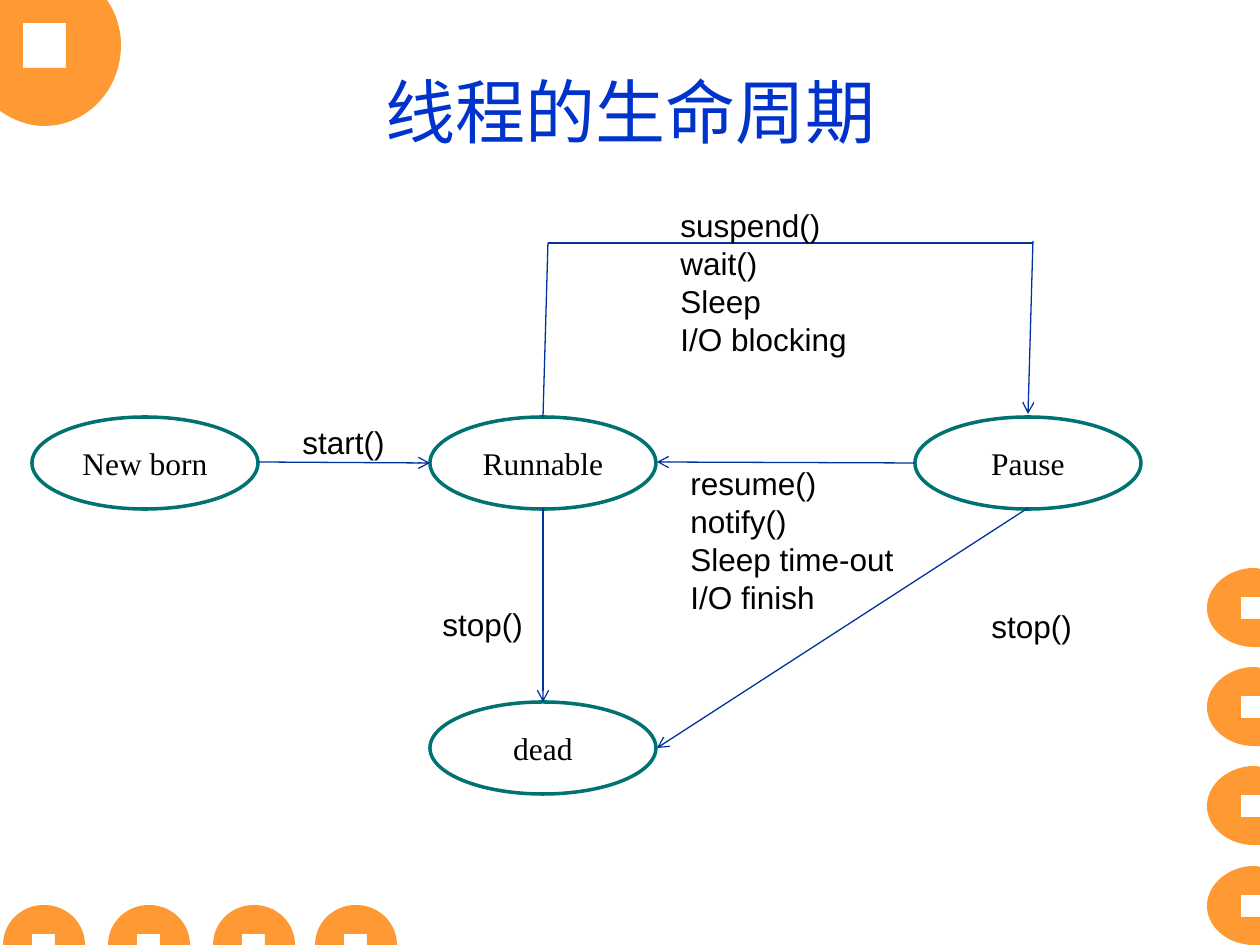
"""Build the thread life-cycle slide: states, transitions and coin ornaments."""
import pptx
import pptx.dml.color
import pptx.enum.shapes
import pptx.enum.text
import pptx.oxml
import pptx.oxml.ns
import pptx.util

SCALE = 914400 / 126
NAMESPACE = pptx.oxml.ns.nsdecls("a")
ORANGE = pptx.dml.color.RGBColor(0xFF, 0x99, 0x33)
BLUE = pptx.dml.color.RGBColor(0x00, 0x33, 0xCC)
NAVY = pptx.dml.color.RGBColor(0x00, 0x33, 0x99)
TEAL = pptx.dml.color.RGBColor(0x00, 0x72, 0x72)
WHITE = pptx.dml.color.RGBColor(0xFF, 0xFF, 0xFF)
BLACK = pptx.dml.color.RGBColor(0x00, 0x00, 0x00)


def px(*lengths):
    return [pptx.util.Emu(round(length * SCALE)) for length in lengths]


def add_coin(slide, left, top, contours):
    builder = None
    for contour in contours:
        points = [(left + x, top + y) for segment in contour
                  for x, y in zip(segment[::2], segment[1::2])]
        if builder is None:
            builder = slide.shapes.build_freeform(*points[0], scale=SCALE)
        else:
            builder.move_to(*points[0])
        builder.add_line_segments(points[1:], close=True)
    coin = builder.convert_to_shape()
    coin.shadow.inherit = False
    coin.fill.solid()
    coin.fill.fore_color.rgb = ORANGE
    coin.line.fill.background()
    lines = iter(list(coin._element.iter(pptx.oxml.ns.qn("a:lnTo"))))
    for segment in [segment for contour in contours for segment in contour[1:]]:
        steps = [next(lines) for _ in range(len(segment) // 2)]
        if len(steps) == 3:
            curve = pptx.oxml.parse_xml(f"<a:cubicBezTo {NAMESPACE}/>")
            steps[0].addprevious(curve)
            for step in steps:
                curve.append(step[0])
                step.getparent().remove(step)


presentation = pptx.Presentation()
presentation.slide_width, presentation.slide_height = px(1260, 945)
slide = presentation.slides.add_slide(presentation.slide_layouts[5])

corner_coin = [
    [(0, 111), (13, 120, 28, 126, 44, 126), (87, 126, 121, 90, 121, 45),
     (121, 29, 116, 13, 107, 0), (0, 0)],
    [(66, 68), (23, 68), (23, 23), (66, 23)],
]
right_coin = [
    [(34, 51), (34, 29), (53, 29), (53, 1), (51, 0, 49, 0, 47, 0),
     (22, 0, 0, 18, 0, 40), (0, 62, 22, 79, 47, 79), (49, 79, 51, 79, 53, 79), (53, 51)],
]
bottom_coin = [
    [(41, 0), (18, 0, 0, 18, 0, 40), (29, 40), (29, 29), (52, 29), (52, 40),
     (82, 40), (82, 18, 64, 0, 41, 0)],
]
add_coin(slide, 0, 0, corner_coin)
for row in range(4):
    add_coin(slide, 1207, 568 + 298 * row // 3, right_coin)
for left in (315, 213, 108, 3):
    add_coin(slide, left, 905, bottom_coin)

title = slide.shapes.title
title.left, title.top, title.width, title.height = px(42, 32, 1177, 157)
title.text_frame.text = "线程的生命周期"
title.text_frame.vertical_anchor = pptx.enum.text.MSO_ANCHOR.MIDDLE
paragraph = title.text_frame.paragraphs[0]
paragraph.alignment = pptx.enum.text.PP_ALIGN.CENTER
paragraph.font.name = "Arial"
paragraph.font.size = pptx.util.Pt(40)
paragraph.font.color.rgb = BLUE

states = [("New born", 32, 417), ("Pause", 915, 417), ("Runnable", 430, 417), ("dead", 430, 702)]
for name, left, top in states:
    state = slide.shapes.add_shape(
        pptx.enum.shapes.MSO_SHAPE.OVAL, *px(left, top, 226, 92))
    state.shadow.inherit = False
    state.fill.solid()
    state.fill.fore_color.rgb = WHITE
    state.line.color.rgb = TEAL
    state.line.width = pptx.util.Pt(2)
    state.text_frame.text = name
    state.text_frame.vertical_anchor = pptx.enum.text.MSO_ANCHOR.MIDDLE
    paragraph = state.text_frame.paragraphs[0]
    paragraph.alignment = pptx.enum.text.PP_ALIGN.CENTER
    paragraph.font.name = "Times New Roman"
    paragraph.font.size = pptx.util.Pt(18)
    paragraph.font.color.rgb = BLACK

transitions = [
    (258, 462, 430, 463, True),
    (543, 508, 543, 702, True),
    (915, 463, 657, 462, True),
    (1028, 508, 657, 748, True),
    (548, 243, 543, 417, False),
    (548, 243, 1033, 243, False),
    (1033, 241, 1028, 414, True),
]
for *ends, has_arrow in transitions:
    line = slide.shapes.add_connector(
        pptx.enum.shapes.MSO_CONNECTOR.STRAIGHT, *px(*ends))
    line.line.color.rgb = NAVY
    line.line.width = pptx.util.Pt(0.75)
    if has_arrow:
        arrow = pptx.oxml.parse_xml(f'<a:tailEnd {NAMESPACE} type="arrow"/>')
        line.line._get_or_add_ln().append(arrow)
    line._element.spPr.append(pptx.oxml.parse_xml(f"<a:effectLst {NAMESPACE}/>"))

labels = [
    ("start()", 290, 417, 109, 50),
    ("stop()", 430, 599, 109, 50),
    ("stop()", 979, 601, 109, 50),
    ("resume()\nnotify()\nSleep time-out\nI/O finish", 678, 458, 291, 164),
    ("suspend()\nwait()\nSleep\nI/O blocking", 668, 200, 291, 164),
]
for text, *box in labels:
    label = slide.shapes.add_textbox(*px(*box))
    label.text_frame.word_wrap = True
    label.text_frame.auto_size = pptx.enum.text.MSO_AUTO_SIZE.SHAPE_TO_FIT_TEXT
    label.text_frame.text = text
    for paragraph in label.text_frame.paragraphs:
        paragraph.font.name = "Arial"
        paragraph.font.size = pptx.util.Pt(18)
        paragraph.font.color.rgb = BLACK

presentation.save("out.pptx")
